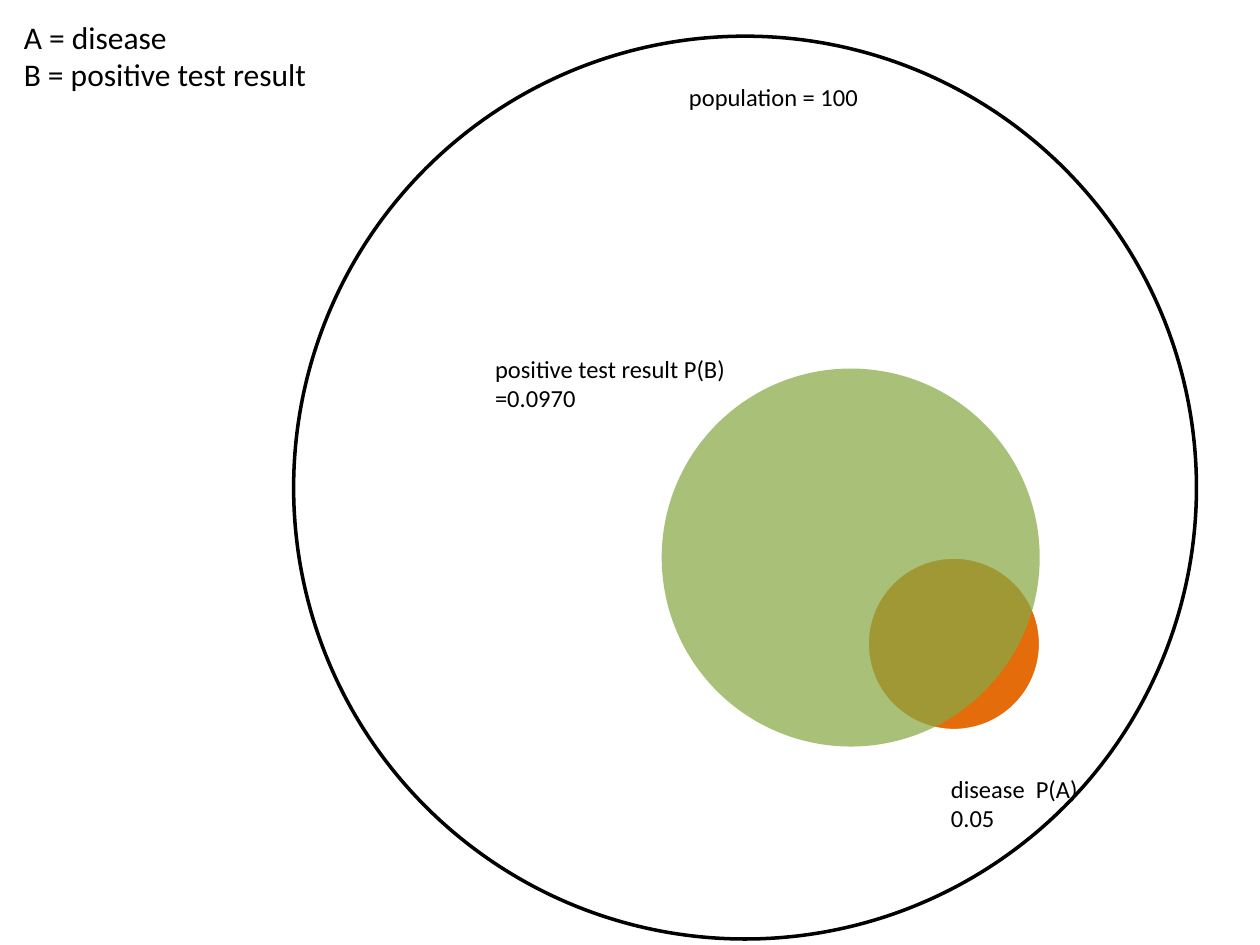
from lxml.etree import SubElement
from pptx import Presentation
from pptx.dml.color import RGBColor
from pptx.enum.shapes import MSO_SHAPE
from pptx.enum.text import MSO_AUTO_SIZE
from pptx.oxml.ns import qn
from pptx.util import Cm, Pt

COLORS = {"paper": "FFFFFF", "ink": "000000", "test": "88A945", "disease": "E46C0A"}


def color(name):
    return RGBColor.from_string(COLORS[name])


def add_circle(slide, left, top, size, fill, line=None, alpha=None):
    """Add a circle; alpha is the opacity of its fill in percent."""
    shape = slide.shapes.add_shape(
        MSO_SHAPE.OVAL, Cm(left), Cm(top), Cm(size), Cm(size))
    shape.shadow.inherit = False
    shape.fill.solid()
    shape.fill.fore_color.rgb = color(fill)
    if alpha:
        tint = shape.fill._xPr.find(".//" + qn("a:srgbClr"))
        SubElement(tint, qn("a:alpha")).set("val", str(alpha * 1000))
    if line:
        shape.line.color.rgb = color(line)
        shape.line.width = Pt(2)
    else:
        shape.line.fill.background()


def add_label(slide, left, top, width, height, text, size=14, indent=0):
    box = slide.shapes.add_textbox(Cm(left), Cm(top), Cm(width), Cm(height))
    frame = box.text_frame
    frame.word_wrap = True
    frame.auto_size = MSO_AUTO_SIZE.SHAPE_TO_FIT_TEXT
    frame.text = text
    for par in frame.paragraphs:
        if indent:
            par._p.get_or_add_pPr().set("marL", str(Cm(indent)))
        for run in par.runs:
            run.font.name = "Calibri"
            run.font.size = Pt(size)
            run.font.color.rgb = color("ink")


def main():
    deck = Presentation()
    deck.slide_width, deck.slide_height = Cm(25.4), Cm(19.05)
    slide = deck.slides.add_slide(deck.slide_layouts[6])

    add_circle(slide, 5.92, 0.73, 18.2, "paper", line="ink")
    add_label(slide, 13.64, 1.52, 4.34, 0.86, "population = 100")

    add_circle(slide, 17.48, 11.23, 3.5, "disease", line="paper")
    add_label(slide, 18.92, 15.47, 3.38, 1.45, "disease  P(A)\n0.05")

    add_label(slide, 0.08, 0.23, 12.7, 1.8,
              "A = disease\nB = positive test result", size=18, indent=0.15)

    add_circle(slide, 13.34, 7.43, 7.62, "test", alpha=73)
    add_label(slide, 9.73, 7.01, 5.28, 2.06, "positive test result P(B)\n=0.0970")

    deck.save("out.pptx")


if __name__ == "__main__":
    main()
